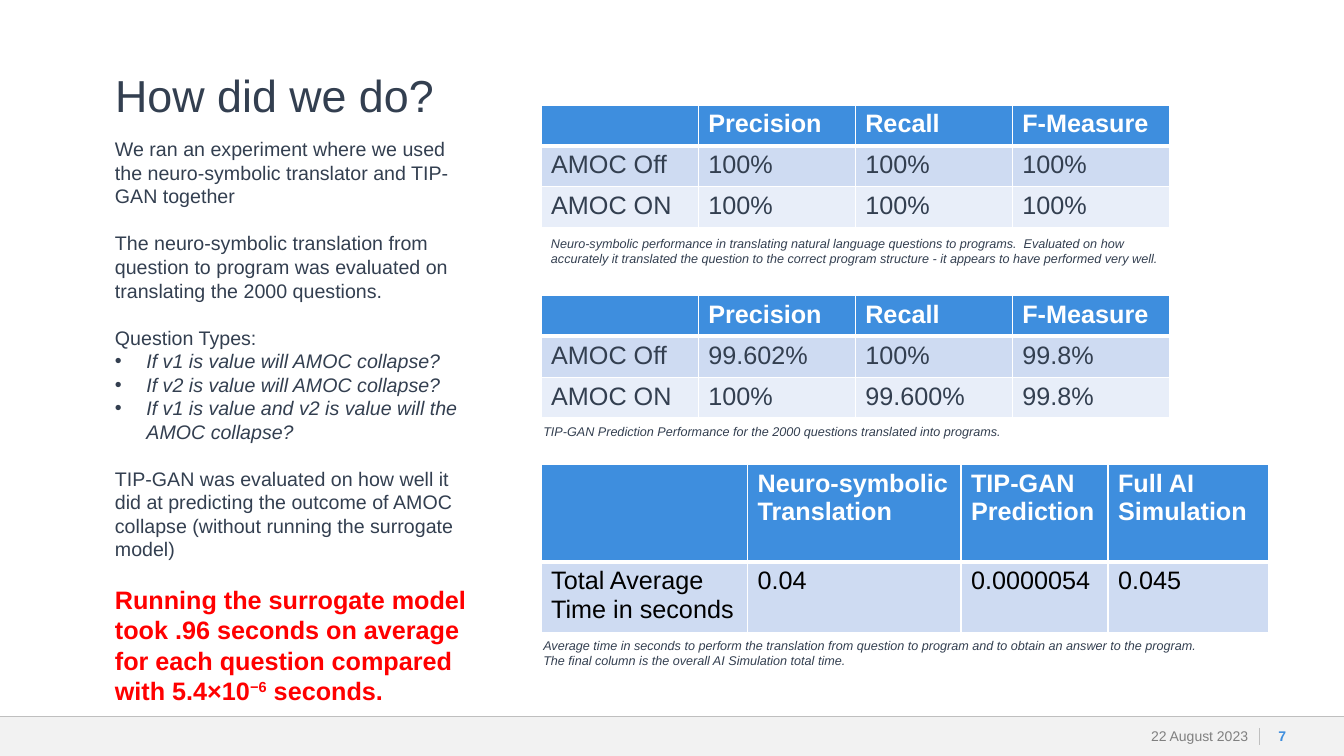
import dataclasses

import pptx
import pptx.dml.color
import pptx.enum.shapes
import pptx.enum.text
import pptx.oxml
import pptx.oxml.ns
import pptx.util

Pt = pptx.util.Pt
Align = pptx.enum.text.PP_ALIGN
Anchor = pptx.enum.text.MSO_ANCHOR


@dataclasses.dataclass(frozen=True)
class Theme:
    font: str = "Arial"
    ink: str = "333F50"
    black: str = "000000"
    white: str = "FFFFFF"
    blue: str = "3E8EDE"
    bands: tuple = ("CEDBF2", "E8EEF9")
    red: str = "FF0000"
    bar: str = "F2F2F2"
    rule: str = "BFBFBF"
    gray: str = "808080"
    head: int = 32
    large: int = 18
    body: int = 14
    foot: int = 10
    note: int = 9


def color(code):
    return pptx.dml.color.RGBColor.from_string(code)


def add_text(para, text, *, font, size, ink, bold=False, slant=False, base=0):
    run = para.add_run()
    run.text = text
    run.font.name = font
    run.font.size = Pt(size)
    run.font.color.rgb = color(ink)
    run.font.bold = bold
    run.font.italic = slant
    if base:
        run._r.get_or_add_rPr().set("baseline", str(base * 1000))


def make(tag, parent, **attrs):
    node = pptx.oxml.parse_xml(f"<{tag} {pptx.oxml.ns.nsdecls('a')}/>")
    for key, value in attrs.items():
        node.set(key, str(value))
    parent.append(node)
    return node


class Page:
    def __init__(self, slide, theme):
        self.slide = slide
        self.theme = theme

    def text(self, para, text, **form):
        base = dict(font=self.theme.font, size=self.theme.body, ink=self.theme.ink)
        add_text(para, text, **(base | form))

    def title(self, text, box):
        shape = self.slide.shapes.title
        shape.left, shape.top, shape.width, shape.height = map(Pt, box)
        frame = shape.text_frame
        frame.auto_size = pptx.enum.text.MSO_AUTO_SIZE.NONE
        frame.vertical_anchor = Anchor.TOP
        para = frame.paragraphs[0]
        para.alignment = Align.LEFT
        self.text(para, text, size=self.theme.head)

    def bar(self, box):
        shape = self.slide.shapes.add_shape(
            pptx.enum.shapes.MSO_SHAPE.RECTANGLE, *map(Pt, box))
        shape.shadow.inherit = False
        shape.fill.solid()
        shape.fill.fore_color.rgb = color(self.theme.bar)
        shape.line.fill.background()

    def line(self, *ends):
        line = self.slide.shapes.add_connector(
            pptx.enum.shapes.MSO_CONNECTOR.STRAIGHT, *map(Pt, ends))
        line.line.color.rgb = color(self.theme.rule)
        line.line.width = Pt(0.5)
        make("a:effectLst", line._element.spPr)

    def frame(self, box):
        frame = self.slide.shapes.add_textbox(*map(Pt, box)).text_frame
        frame.word_wrap = True
        return frame

    def label(self, text, box, align, pad, **form):
        frame = self.frame(box)
        frame.vertical_anchor = Anchor.MIDDLE
        frame.margin_left = frame.margin_right = Pt(pad)
        frame.margin_top = frame.margin_bottom = 0
        frame.paragraphs[0].alignment = align
        self.text(frame.paragraphs[0], text, size=self.theme.foot, **form)

    def note(self, text, box, align=Align.LEFT):
        para = self.frame(box).paragraphs[0]
        para.alignment = align
        self.text(para, text, size=self.theme.note, slant=True)

    def prose(self, parts, box, gap):
        frame = self.frame(box)
        for index, (runs, bullet, space) in enumerate(parts):
            para = frame.add_paragraph() if index else frame.paragraphs[0]
            if space:
                para.space_before = Pt(gap)
            if bullet:
                props = para._p.get_or_add_pPr()
                props.set("marL", str(Pt(22.5)))
                props.set("indent", str(-Pt(22.5)))
                make("a:buFont", props, typeface=self.theme.font)
                make("a:buChar", props, char="•")
            for text, form in runs:
                self.text(para, text, **form)

    def edge(self, cell, head):
        props = cell._tc.get_or_add_tcPr()
        for index, side in enumerate(("lnL", "lnR", "lnT", "lnB")):
            width = 3 if head and side == "lnB" else 1
            line = pptx.oxml.parse_xml(
                f"<a:{side} {pptx.oxml.ns.nsdecls('a')} w='{Pt(width)}'><a:solidFill>"
                f"<a:srgbClr val='{self.theme.white}'/></a:solidFill></a:{side}>")
            props.insert(index, line)

    def table(self, rows, left, top, widths, heights, ink):
        box = (left, top, sum(widths), sum(heights))
        grid = self.slide.shapes.add_table(
            len(rows), len(widths), *map(Pt, box)).table
        grid.first_row = True
        grid.horz_banding = False
        for col, width in zip(grid.columns, widths):
            col.width = Pt(width)
        for r, (row, height) in enumerate(zip(rows, heights)):
            grid.rows[r].height = Pt(height)
            head = r == 0
            for c, text in enumerate(row):
                cell = grid.cell(r, c)
                cell.fill.solid()
                cell.fill.fore_color.rgb = color(
                    self.theme.blue if head else self.theme.bands[r - 1])
                self.edge(cell, head)
                if text:
                    self.text(cell.text_frame.paragraphs[0], text,
                              size=self.theme.large, bold=head,
                              ink=self.theme.white if head else ink)


def main():
    deck = pptx.Presentation()
    deck.slide_width, deck.slide_height = Pt(960), Pt(540)
    theme = Theme()
    page = Page(deck.slides.add_slide(deck.slide_layouts[5]), theme)

    page.bar((0, 512, 960, 28))
    page.line(0, 512, 960, 512)
    page.line(899.5, 520, 899.5, 532)
    page.label("22 August 2023", (790.5, 512, 108, 28), Align.RIGHT, 7.2, ink=theme.gray)
    page.label("7", (901, 512, 30, 28), Align.CENTER, 0, ink=theme.blue, bold=True)
    page.title("How did we do?", (75, 44.5, 737, 46))

    alert = dict(size=theme.large, ink=theme.red, bold=True)
    slant = dict(slant=True)
    page.prose([
        ([("We ran an experiment where we used the neuro-symbolic translator and TIP-GAN together", {})], False, False),
        ([("The neuro-symbolic translation from question to program was evaluated on translating the 2000 questions.", {})], False, True),
        ([("Question Types:", {})], False, True),
        ([("If v1 is value will AMOC collapse?", slant)], True, False),
        ([("If v2 is value will AMOC collapse?", slant)], True, False),
        ([("If v1 is value and v2 is value will the AMOC collapse?", slant)], True, False),
        ([("TIP-GAN was evaluated on how well it did at predicting the outcome of AMOC collapse (without running the surrogate model)", {})], False, True),
        ([("Running the surrogate model took .96 seconds on average for each question compared with 5.4×10", alert),
          ("−6", alert | dict(base=30)), (" seconds.", alert)], False, True),
    ], (75, 94.5, 267, 451), 16.8)

    left, side = 386.5, 381
    head = ("", "Precision", "Recall", "F-Measure")
    scores = (
        (75, ("100%", "100%", "100%"), ("100%", "100%", "100%")),
        (211, ("99.602%", "100%", "99.8%"), ("100%", "99.600%", "99.8%")),
    )
    for top, off, on in scores:
        page.table((head, ("AMOC Off", *off), ("AMOC ON", *on)),
                   left, top, [112.2] * 4, [29.2] * 3, theme.ink)
    page.table((("", "Neuro-symbolic Translation", "TIP-GAN Prediction", "Full AI Simulation"),
                ("Total Average Time in seconds", "0.04", "0.0000054", "0.045")),
               left, 332, (147.5, 152.5, 105, 114.5), (69.5, 50.5), theme.black)

    page.note("Neuro-symbolic performance in translating natural language questions to programs.  Evaluated on how accurately it translated the question to the correct program structure - it appears to have performed very well.",
              (left, 165, 448.5, 29))
    page.note("TIP-GAN Prediction Performance for the 2000 questions translated into programs.",
              (side, 299, 448.5, 26.5), Align.JUSTIFY)
    page.note("Average time in seconds to perform the translation from question to program and to obtain an answer to the program.  The final column is the overall AI Simulation total time.",
              (side, 452, 488, 29))
    deck.save("out.pptx")


if __name__ == "__main__":
    main()
